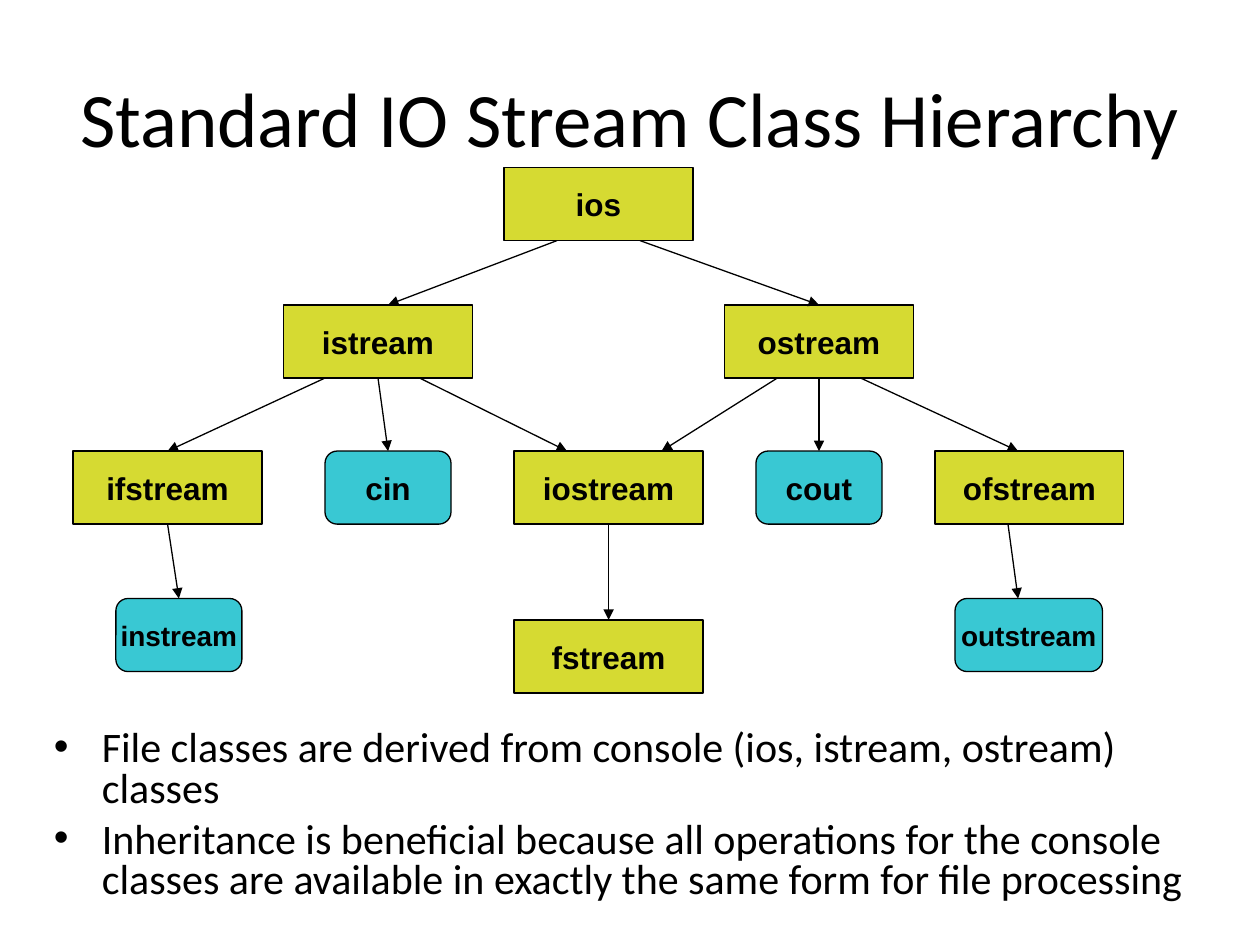
from dataclasses import dataclass
from typing import Any

from lxml.etree import SubElement
from pptx import Presentation
from pptx.dml.color import RGBColor
from pptx.enum.shapes import MSO_CONNECTOR, MSO_SHAPE
from pptx.enum.text import MSO_ANCHOR, PP_ALIGN
from pptx.oxml.ns import qn
from pptx.util import Inches, Pt

BOX_HEIGHT = 0.58

# Class or object name: left, top, width
CLASSES = {
    "ios": (4, 1.33, 1.5),
    "istream": (2.25, 2.42, 1.5),
    "ostream": (5.75, 2.42, 1.5),
    "ifstream": (0.58, 3.58, 1.5),
    "iostream": (4.08, 3.58, 1.5),
    "ofstream": (7.42, 3.58, 1.5),
    "fstream": (4.08, 4.92, 1.5),
}
OBJECTS = {
    "cin": (2.58, 3.58, 1),
    "cout": (6, 3.58, 1),
    "instream": (0.92, 4.75, 1),
    "outstream": (7.58, 4.75, 1.17),
}

# Parent, x at its bottom edge, child, x at its top edge
ARROWS = [
    ("ios", 4.42, "istream", 3.08),
    ("ios", 5.08, "ostream", 6.5),
    ("istream", 2.58, "ifstream", 1.33),
    ("istream", 3, "cin", 3.08),
    ("istream", 3.33, "iostream", 4.5),
    ("ostream", 6.17, "iostream", 5.25),
    ("ostream", 6.5, "cout", 6.5),
    ("ostream", 6.83, "ofstream", 8.08),
    ("iostream", 4.83, "fstream", 4.83),
    ("ifstream", 1.33, "instream", 1.42),
    ("ofstream", 8, "outstream", 8.08),
]

BULLETS = [
    "File classes are derived from console (ios, istream, ostream) classes",
    "Inheritance is beneficial because all operations for the console "
    "classes are available in exactly the same form for file processing",
]


def color(value):
    return RGBColor.from_string(value)


@dataclass
class HierarchyPage:
    page: Any
    text_font: str = "Calibri"
    label_font: str = "Arial"
    ink: str = "000000"
    class_fill: str = "D6DA32"
    object_fill: str = "39C8D3"
    line_width: float = 0.75

    def set_font(self, para, name, size, bold=False):
        font = para.font
        font.name, font.size, font.bold = name, Pt(size), bold
        font.color.rgb = color(self.ink)

    def set_line(self, line):
        line.color.rgb = color(self.ink)
        line.width = Pt(self.line_width)

    def title(self, text, left, top, width, height):
        box = self.page.shapes.title
        box.left, box.top = Inches(left), Inches(top)
        box.width, box.height = Inches(width), Inches(height)
        box.text_frame.text = text
        box.text_frame.vertical_anchor = MSO_ANCHOR.MIDDLE
        para = box.text_frame.paragraphs[0]
        para.alignment = PP_ALIGN.CENTER
        self.set_font(para, self.text_font, 44)

    def node(self, text, left, top, width, kind, fill, size=18):
        box = self.page.shapes.add_shape(
            kind, Inches(left), Inches(top), Inches(width), Inches(BOX_HEIGHT))
        box.shadow.inherit = False
        box.fill.solid()
        box.fill.fore_color.rgb = color(fill)
        self.set_line(box.line)
        frame = box.text_frame
        frame.word_wrap = False
        frame.vertical_anchor = MSO_ANCHOR.MIDDLE
        frame.text = text
        para = frame.paragraphs[0]
        para.alignment = PP_ALIGN.CENTER
        self.set_font(para, self.label_font, size, bold=True)

    def class_box(self, text, left, top, width):
        self.node(text, left, top, width, MSO_SHAPE.RECTANGLE, self.class_fill)

    def object_box(self, text, left, top, width):
        size = 16 if len(text) > 4 else 18
        self.node(text, left, top, width, MSO_SHAPE.ROUNDED_RECTANGLE,
                  self.object_fill, size)

    def arrow(self, start_x, start_y, end_x, end_y):
        arrow = self.page.shapes.add_connector(
            MSO_CONNECTOR.STRAIGHT, Inches(start_x), Inches(start_y),
            Inches(end_x), Inches(end_y))
        self.set_line(arrow.line)
        SubElement(arrow.line._get_or_add_ln(), qn("a:tailEnd"), type="triangle")
        SubElement(arrow._element.spPr, qn("a:effectLst"))

    def bullets(self, texts, left, top, width, height):
        box = self.page.shapes.add_textbox(
            Inches(left), Inches(top), Inches(width), Inches(height))
        frame = box.text_frame
        frame.word_wrap = True
        for index, text in enumerate(texts):
            para = frame.add_paragraph() if index else frame.paragraphs[0]
            para.text = text
            para.line_spacing = 0.8
            if index:
                para.space_before = Pt(6)
            properties = para._p.get_or_add_pPr()
            properties.set("marL", str(Inches(0.38)))
            properties.set("indent", str(-Inches(0.38)))
            SubElement(properties, qn("a:buFont"), typeface="Arial")
            SubElement(properties, qn("a:buChar"), char="•")
            self.set_font(para, self.text_font, 24)


def main():
    deck = Presentation()
    deck.slide_width, deck.slide_height = Inches(10), Inches(7.5)
    hierarchy = HierarchyPage(deck.slides.add_slide(deck.slide_layouts[5]))

    # Title and notes below the diagram
    hierarchy.title("Standard IO Stream Class Hierarchy", 0.5, 0.3, 9, 1.25)
    hierarchy.bullets(BULLETS, 0.33, 5.75, 9.25, 1.5)

    # Classes and stream objects
    for name, place in CLASSES.items():
        hierarchy.class_box(name, *place)
    for name, place in OBJECTS.items():
        hierarchy.object_box(name, *place)

    # Arrows from the bottom of each parent to the top of its child
    tops = {name: place[1] for name, place in (CLASSES | OBJECTS).items()}
    for parent, start_x, child, end_x in ARROWS:
        hierarchy.arrow(start_x, tops[parent] + BOX_HEIGHT, end_x, tops[child])

    deck.save("out.pptx")


if __name__ == "__main__":
    main()
